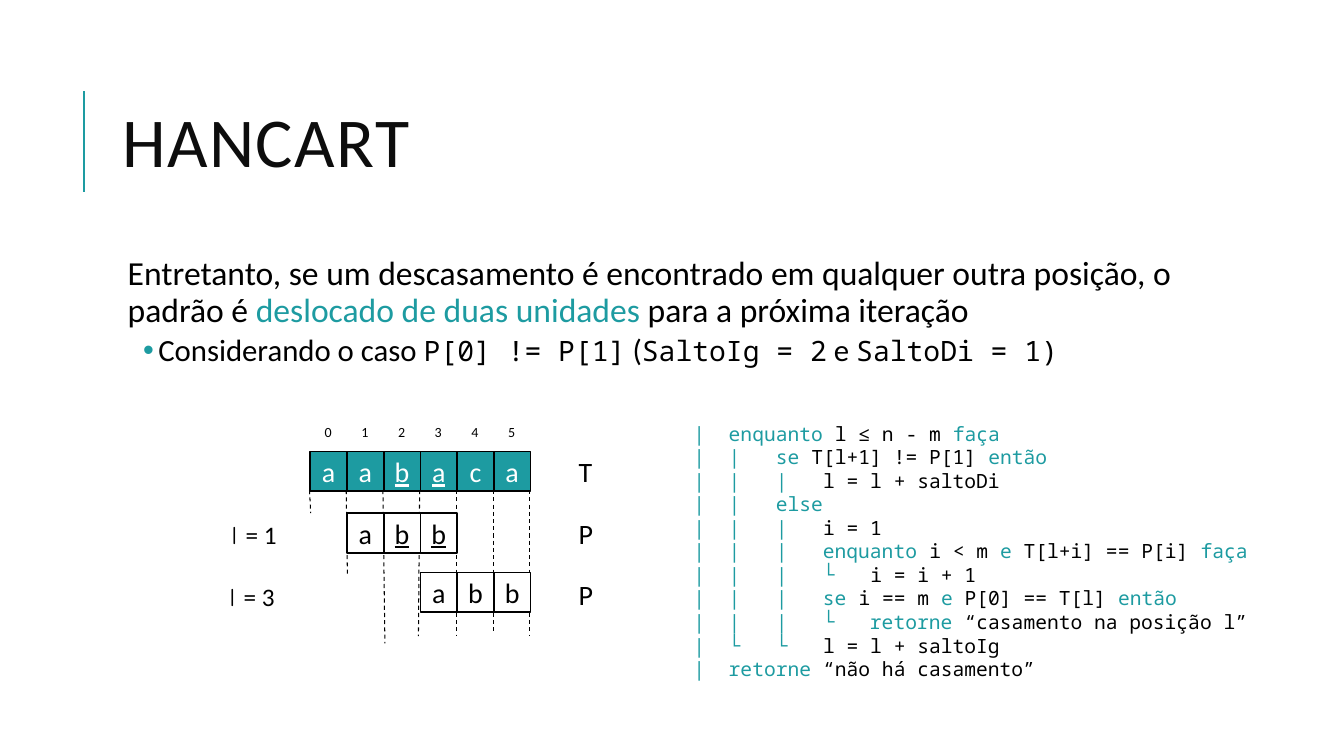
import dataclasses

import pptx
import pptx.dml.color
import pptx.enum.dml
import pptx.enum.shapes
import pptx.enum.text
import pptx.oxml
import pptx.oxml.ns
import pptx.util

Cm = pptx.util.Cm
Pt = pptx.util.Pt
RGB = pptx.dml.color.RGBColor
ALIGN = pptx.enum.text.PP_ALIGN
ANCHOR = pptx.enum.text.MSO_ANCHOR


@dataclasses.dataclass(frozen=True)
class Theme:
    accent = RGB(0x1D, 0x9B, 0xA1)
    title = RGB(0x0D, 0x0D, 0x0D)
    ink = RGB(0, 0, 0)
    paper = RGB(255, 255, 255)
    sans = "Calibri"
    hand = "Comic Neue"
    mono = "Noto Sans Mono"
    bullet = "Arial"
    title_size = 50
    lead_size = 24
    point_size = 22
    inline_code_size = 20
    cell_size = 20
    step_size = 18
    code_size = 14
    index_size = 10


theme = Theme()
deck = pptx.Presentation()
deck.slide_width, deck.slide_height = Cm(33.87), Cm(19.05)
slide = deck.slides.add_slide(deck.slide_layouts[6])


def add_run(paragraph, text, size, color=theme.ink, font=theme.sans):
    run = paragraph.add_run()
    run.text = text
    run.font.size = Pt(size)
    run.font.name = font
    run.font.color.rgb = color
    return run


def add_line(x1, y1, x2, y2, color, width):
    """Draw a straight line without shadow; lengths in cm."""
    line = slide.shapes.add_connector(
        pptx.enum.shapes.MSO_CONNECTOR.STRAIGHT, Cm(x1), Cm(y1), Cm(x2), Cm(y2))
    line.line.color.rgb = color
    line.line.width = Pt(width)
    line._element.spPr.append(pptx.oxml.parse_xml(
        f'<a:effectLst {pptx.oxml.ns.nsdecls("a")}/>'))
    return line


# Title
add_line(2.12, 4.83, 2.12, 2.29, theme.accent, 1.5)
title = slide.shapes.add_textbox(Cm(2.84), Cm(1.63), Cm(27), Cm(4.17)).text_frame
title.word_wrap = True
title.vertical_anchor = ANCHOR.MIDDLE
heading = title.paragraphs[0]
heading.line_spacing = 0.8
heading_run = add_run(heading, "HANCART", theme.title_size, theme.title)
heading_run._r.get_or_add_rPr().set("spc", "100")

# Explanation
body = slide.shapes.add_textbox(Cm(2.84), Cm(6.35), Cm(27), Cm(11.18)).text_frame
body.word_wrap = True
body.margin_left = body.margin_right = Cm(0.13)
lead = body.paragraphs[0]
lead._p.get_or_add_pPr().set("marL", str(Cm(0.25)))
lead.line_spacing = 0.9
lead.space_after = Pt(2)
add_run(lead, "Entretanto, se um descasamento é encontrado em qualquer outra posição, "
              "o padrão é ", theme.lead_size)
add_run(lead, "deslocado de duas unidades", theme.lead_size, theme.accent)
add_run(lead, " para a próxima iteração", theme.lead_size)

case = body.add_paragraph()
case.level = 1
case_format = case._p.get_or_add_pPr()
case_format.set("marL", str(Cm(1.02)))
case_format.set("indent", str(Cm(-0.38)))
for bullet in (f'<a:buClr %s><a:srgbClr val="{theme.accent}"/></a:buClr>',
               f'<a:buFont %s typeface="{theme.bullet}"/>',
               '<a:buChar %s char="•"/>'):
    case_format.append(pptx.oxml.parse_xml(bullet % pptx.oxml.ns.nsdecls("a")))
case.line_spacing = 0.9
case.space_before = Pt(2)
case.space_after = Pt(4)
for words, expression in (("Considerando o caso ", "P[0] != P[1]"),
                          (" (", "SaltoIg = 2"),
                          (" e ", "SaltoDi = 1)")):
    add_run(case, words, theme.point_size)
    add_run(case, expression, theme.inline_code_size, font=theme.mono)

# Matching diagram: dashed guides first, cells over them
grid_left, cell_width, cell_height = 7.82, 0.925, 1
guides = ((0.03, 12.93), (0.03, 14.5), (0.05, 16.21), (-0.03, 16.03),
          (0, 16.03), (0, 15.98), (0, 16.03))
for column, (drift, bottom) in enumerate(guides):
    x = grid_left + column * cell_width - 0.02
    guide = add_line(x, 12.35, x + drift, bottom, theme.ink, 0.75)
    guide.line.dash_style = pptx.enum.dml.MSO_LINE.DASH

# Row: label, top, label top, first column, letters, underlined positions, fill, letter colour
rows = (("T", 11.38, 11.33, 0, "aabaca", (2, 3), theme.accent, theme.paper),
        ("P", 12.93, 12.88, 1, "abb", (1, 2), theme.paper, theme.ink),
        ("P", 14.43, 14.43, 3, "abb", (), theme.paper, theme.ink))
for name, top, name_top, first, letters, underlined, fill, color in rows:
    for position, letter in enumerate(letters):
        cell = slide.shapes.add_shape(
            pptx.enum.shapes.MSO_SHAPE.RECTANGLE,
            Cm(grid_left + (first + position) * cell_width), Cm(top),
            Cm(cell_width), Cm(cell_height))
        cell.shadow.inherit = False
        cell.fill.solid()
        cell.fill.fore_color.rgb = fill
        cell.line.color.rgb = theme.ink
        cell.line.width = Pt(1.25)
        frame = cell.text_frame
        frame.margin_left = frame.margin_right = 0
        frame.vertical_anchor = ANCHOR.MIDDLE
        frame.paragraphs[0].alignment = ALIGN.CENTER
        letter_run = add_run(frame.paragraphs[0], letter, theme.cell_size, color)
        if position in underlined:
            letter_run.font.underline = True
    row_name = slide.shapes.add_textbox(Cm(14.33), Cm(name_top), Cm(0.9), Cm(1.11)).text_frame
    row_name.word_wrap = False
    add_run(row_name.paragraphs[0], name, theme.cell_size)

for column in range(6):
    index = slide.shapes.add_textbox(
        Cm(grid_left + column * cell_width), Cm(10.54), Cm(0.9), Cm(0.68)).text_frame
    index.word_wrap = True
    index.paragraphs[0].alignment = ALIGN.CENTER
    add_run(index.paragraphs[0], str(column), theme.index_size)

for left, top, value in ((5.59, 12.95, "= 1"), (5.54, 14.53, "= 3")):
    step = slide.shapes.add_textbox(Cm(left), Cm(top), Cm(2), Cm(1.02)).text_frame
    step.word_wrap = True
    add_run(step.paragraphs[0], "l ", theme.step_size, font=theme.hand)
    add_run(step.paragraphs[0], value, theme.step_size)

# Algorithm: "~" switches between accent and ink, each line starting in accent
algorithm = """\
 |  enquanto~ l ≤ n - m ~faça
 |  |   se~ T[l+1] != P[1] ~então
 |  |   |   ~l = l + saltoDi
 |  |   else
 |  |   |   ~i = 1
 |  |   |   enquanto ~i < m ~e~ T[l+i] == P[i] ~faça
 |  |   |   └   ~i = i + 1
 |  |   |   se~ i == m ~e~ P[0] == T[l] ~então
 |  |   |   └   retorne~ “casamento na posição l”
 |  └   └   ~l = l + saltoIg
 |  retorne ~“não há casamento”"""
code = slide.shapes.add_textbox(Cm(16.93), Cm(10.5), Cm(16.93), Cm(6.83)).text_frame
code.word_wrap = True
for number, statement in enumerate(algorithm.split("\n")):
    code_line = code.add_paragraph() if number else code.paragraphs[0]
    code_line.line_spacing = Pt(16.8)
    for part, text in enumerate(statement.split("~")):
        add_run(code_line, text, theme.code_size,
                theme.ink if part % 2 else theme.accent, theme.mono)

deck.save("out.pptx")
